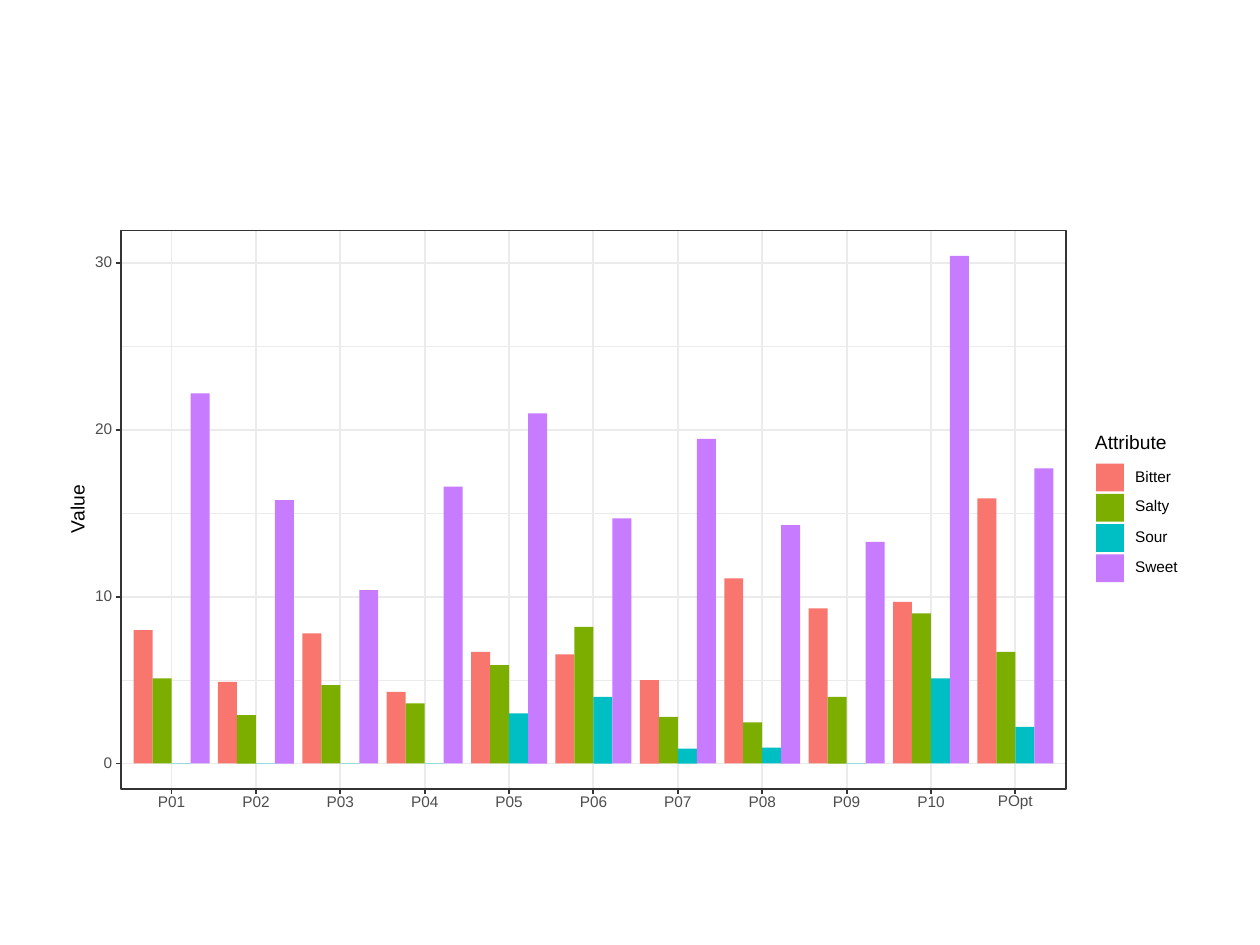
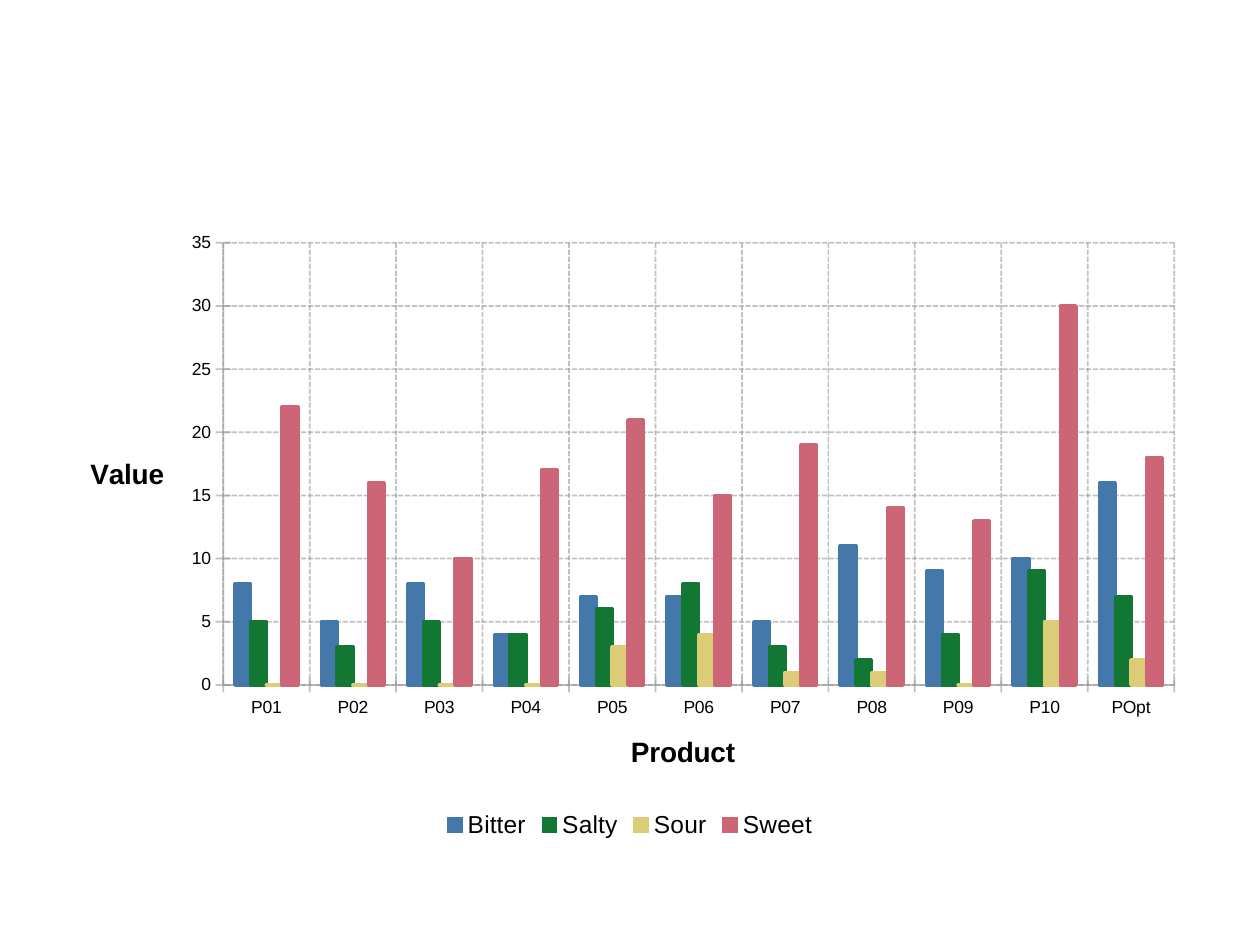
from dataclasses import dataclass

from lxml import etree
from pptx import Presentation
from pptx.chart.data import CategoryChartData
from pptx.dml.color import RGBColor
from pptx.enum.chart import XL_CHART_TYPE, XL_LEGEND_POSITION, XL_TICK_MARK
from pptx.enum.dml import MSO_LINE
from pptx.enum.shapes import MSO_CONNECTOR, MSO_SHAPE
from pptx.enum.text import MSO_ANCHOR, PP_ALIGN
from pptx.oxml.ns import qn
from pptx.util import Inches, Pt

COLUMNS = XL_CHART_TYPE.COLUMN_CLUSTERED
BOTTOM = XL_LEGEND_POSITION.BOTTOM
CROSS = XL_TICK_MARK.CROSS
SOLID, DASH = MSO_LINE.SOLID, MSO_LINE.SQUARE_DOT
RECT, STRAIGHT = MSO_SHAPE.RECTANGLE, MSO_CONNECTOR.STRAIGHT
MIDDLE = MSO_ANCHOR.MIDDLE
LEFT, CENTER, RIGHT = PP_ALIGN.LEFT, PP_ALIGN.CENTER, PP_ALIGN.RIGHT


@dataclass(frozen=True)
class Theme:
    font: str = "Arial"
    chart_font: str = "Calibri"
    black: str = "000000"
    tick_text: str = "4D4D4D"
    frame: str = "333333"
    grid: str = "EBEBEB"
    axis: str = "999999"
    axis_opacity: int = 60
    plot_colors: tuple = ("F8766D", "7CAE00", "00BFC4", "C77CFF")
    chart_colors: tuple = ("4477AA", "117733", "DDCC77", "CC6677")
    thin: float = 0.53
    line: float = 1.07
    small: float = 8.8
    heading: float = 11
    chart_base: float = 18
    chart_tick: float = 10
    chart_legend: float = 14
    chart_title: float = 16


# Data shown on both slides; the native chart takes it in whole numbers
PRODUCTS = [f"P{n:02d}" for n in range(1, 11)] + ["POpt"]
SCORES = {
    "Bitter": (8.0, 4.9, 7.8, 4.3, 6.7, 6.54, 5.0, 11.1, 9.3, 9.7, 15.9),
    "Salty": (5.1, 2.9, 4.7, 3.6, 5.9, 8.2, 2.8, 2.47, 4.0, 9.0, 6.7),
    "Sour": (0, 0, 0, 0, 3.0, 4.0, 0.9, 0.95, 0, 5.1, 2.2),
    "Sweet": (22.2, 15.8, 10.4, 16.6, 21.0, 14.7, 19.47, 14.3, 13.3, 30.45, 17.7),
}


class Deck:
    def __init__(self, theme):
        self.theme = theme
        self.prs = Presentation()
        self.prs.slide_width, self.prs.slide_height = Inches(10), Inches(7.5)
        self.shapes = None

    def new_slide(self):
        s = self.prs.slides.add_slide(self.prs.slide_layouts[6])
        self.shapes = s.shapes

    def start_group(self):
        self.shapes = self.shapes.add_group_shape().shapes

    def style_font(self, font, size, color, bold=False, name=None):
        font.name, font.size, font.bold = name or self.theme.font, Pt(size), bold
        font.color.rgb = RGBColor.from_string(color)

    def rect(self, x, y, w, h, fill=None, line=None):
        sp = self.shapes.add_shape(RECT, Inches(x), Inches(y), Inches(w), Inches(h))
        sp.shadow.inherit = False
        if fill:
            sp.fill.solid()
            sp.fill.fore_color.rgb = RGBColor.from_string(fill)
        else:
            sp.fill.background()
        if line:
            sp.line.color.rgb = RGBColor.from_string(line)
            sp.line.width = Pt(self.theme.line)
        else:
            sp.line.fill.background()

    def rule(self, x1, y1, x2, y2, color, width):
        sp = self.shapes.add_connector(
            STRAIGHT, Inches(x1), Inches(y1), Inches(x2), Inches(y2))
        sp.line.color.rgb = RGBColor.from_string(color)
        sp.line.width = Pt(width)
        etree.SubElement(sp._element.spPr, qn("a:effectLst"))

    def label(self, text, x, y, w, size, color, align=LEFT, rotation=0):
        """Place one line of text, centred vertically on y."""
        h = 0.11
        sp = self.shapes.add_textbox(
            Inches(x), Inches(y - h / 2), Inches(w), Inches(h))
        sp.rotation = rotation
        tf = sp.text_frame
        tf.word_wrap = False
        tf.vertical_anchor = MIDDLE
        tf.margin_left = tf.margin_right = tf.margin_top = tf.margin_bottom = 0
        p = tf.paragraphs[0]
        p.alignment, p.line_spacing = align, Pt(size)
        r = p.add_run()
        r.text = text
        self.style_font(r.font, size, color)

    def axis_line(self, line, dash):
        line.color.rgb = RGBColor.from_string(self.theme.axis)
        line.width, line.dash_style = Pt(1), dash
        color = line._get_or_add_ln().find(".//" + qn("a:srgbClr"))
        alpha = etree.SubElement(color, qn("a:alpha"))
        alpha.set("val", str(self.theme.axis_opacity * 1000))

    def axis(self, axis, title):
        t = self.theme
        axis.has_major_gridlines = True
        axis.major_tick_mark = CROSS
        self.axis_line(axis.format.line, SOLID)
        self.axis_line(axis.major_gridlines.format.line, DASH)
        self.style_font(axis.tick_labels.font, t.chart_tick, t.black)
        tf = axis.axis_title.text_frame
        tf._txBody.bodyPr.set("rot", "0")
        tf._txBody.bodyPr.set("vert", "horz")
        r = tf.paragraphs[0].add_run()
        r.text = title
        self.style_font(r.font, t.chart_title, t.black, bold=True)

    def column_chart(self, x, y, w, h, cat_title, val_title):
        t = self.theme
        data = CategoryChartData()
        data.categories = PRODUCTS
        for name, values in SCORES.items():
            data.add_series(name, [round(v) for v in values])
        chart = self.shapes.add_chart(
            COLUMNS, Inches(x), Inches(y), Inches(w), Inches(h), data).chart
        chart.has_title = False
        self.style_font(chart.font, t.chart_base, t.black, name=t.chart_font)
        plot = chart.plots[0]
        plot.gap_width, plot.overlap, plot.vary_by_categories = 150, 0, False
        for series, color in zip(plot.series, t.chart_colors):
            rgb = RGBColor.from_string(color)
            series.format.fill.solid()
            series.format.fill.fore_color.rgb = rgb
            series.format.line.color.rgb = rgb
            series.format.line.width = Pt(2)
        self.axis(chart.category_axis, cat_title)
        self.axis(chart.value_axis, val_title)
        chart.has_legend = True
        chart.legend.position = BOTTOM
        chart.legend.include_in_layout = False
        self.style_font(chart.legend.font, t.chart_legend, t.black)


def descender_lift(text):
    return 0.01 if set(text) & set("py") else 0


theme = Theme()
deck = Deck(theme)

# Slide 1: plot drawn from shapes
PANEL_X, PANEL_Y, PANEL_W, PANEL_H = 0.96, 1.83, 7.5, 4.43
PANEL_R, PANEL_B = PANEL_X + PANEL_W, PANEL_Y + PANEL_H
BASE, UNIT, TICK = 6.06, 3.97 / 30, 0.04
PITCH = PANEL_W / (len(PRODUCTS) + 0.2)
BAR = 0.9 * PITCH / len(SCORES)
centers = [PANEL_X + PITCH * (i + 0.6) for i in range(len(PRODUCTS))]
majors = {v: BASE - v * UNIT for v in range(0, 31, 10)}

deck.new_slide()
deck.start_group()

# Gridlines
for value in range(5, 30, 10):
    y = BASE - value * UNIT
    deck.rule(PANEL_X, y, PANEL_R, y, theme.grid, theme.thin)
for y in majors.values():
    deck.rule(PANEL_X, y, PANEL_R, y, theme.grid, theme.line)
for x in centers:
    deck.rule(x, PANEL_B, x, PANEL_Y, theme.grid, theme.line)

# Bars and frame
for i, (values, color) in enumerate(zip(SCORES.values(), theme.plot_colors)):
    for x, value in zip(centers, values):
        h = value * UNIT
        deck.rect(x + (i - 2) * BAR, BASE - h, BAR, h, fill=color)
deck.rect(PANEL_X, PANEL_Y, PANEL_W, PANEL_H, line=theme.frame)

# Axes
for value, y in majors.items():
    deck.label(str(value), 0.75, y, 0.14, theme.small, theme.tick_text, RIGHT)
    deck.rule(PANEL_X - TICK, y, PANEL_X, y, theme.frame, theme.line)
for name, x in zip(PRODUCTS, centers):
    deck.rule(x, PANEL_B + TICK, x, PANEL_B, theme.frame, theme.line)
    deck.label(name, x - 0.14, 6.37 - descender_lift(name), 0.28,
               theme.small, theme.tick_text, CENTER)
deck.label("Value", 0.43, 4.04, 0.39, theme.heading, theme.black, CENTER, 270)

# Legend
deck.label("Attribute", 8.69, 3.52, 0.62, theme.heading, theme.black)
for i, (name, color) in enumerate(zip(SCORES, theme.plot_colors)):
    y = 3.68 + 0.24 * i
    deck.rect(8.7, y, 0.22, 0.22, fill=color)
    deck.label(name, 9.01, y + 0.11 - descender_lift(name), 0.36,
               theme.small, theme.black)

# Slide 2: native chart
deck.new_slide()
deck.column_chart(0.5, 1.75, 9, 4.95, "Product", "Value")

deck.prs.save("out.pptx")
